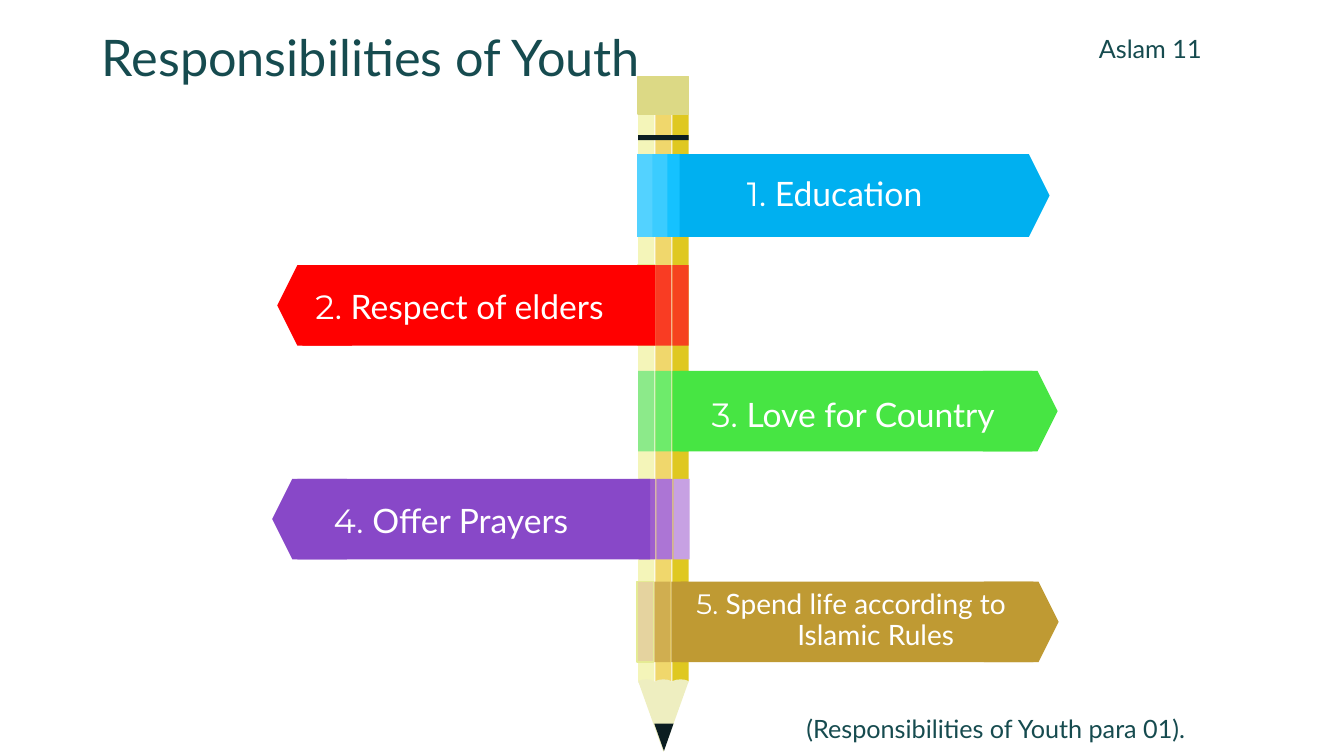
from dataclasses import dataclass

from pptx import Presentation
from pptx.dml.color import RGBColor
from pptx.enum.shapes import MSO_SHAPE
from pptx.enum.text import MSO_ANCHOR
from pptx.shapes.autoshape import Shape
from pptx.util import Inches, Pt

RECTANGLE = MSO_SHAPE.RECTANGLE
HEXAGON = MSO_SHAPE.HEXAGON
TRIANGLE = MSO_SHAPE.ISOSCELES_TRIANGLE
OVAL = MSO_SHAPE.OVAL
TOP, BOTTOM = MSO_ANCHOR.TOP, MSO_ANCHOR.BOTTOM


@dataclass(frozen=True)
class Theme:
    text_font: str = "Lato"
    number_font: str = "Montserrat"
    ink: str = "164B4F"
    white: str = "FFFFFF"
    shaft: tuple[str, ...] = ("F4F5B9", "F0D76C", "DFC821")
    wood: str = "EEEEC0"
    lead: str = "0B1D21"
    eraser: str = "DCD985"
    strip_edge: str = "E5EB94"
    title_size: int = 36
    note_size: int = 18


@dataclass(frozen=True)
class Box:
    left: float
    top: float
    width: float
    height: float


@dataclass(frozen=True)
class Span:
    text: str
    font: str
    size: float
    color: str


@dataclass(frozen=True)
class Banner:
    number: int
    lines: tuple[str, ...]
    color: str
    strips: tuple[str, ...]
    top: float
    body_left: float
    text: Box
    points_right: bool = True
    body_width: float = 3.5
    height: float = 0.8
    strip_left: float = 6.33
    strip_pitch: float = 0.17
    size: int = 24
    edged: bool = False


THEME = Theme()
PENCIL_LEFT, PENCIL_WIDTH, SHAFT_PITCH = 6.33, 0.5, 0.17
TIP_WIDTH, TIP_OVERHANG = 0.94, 0.25
LINE_SPACING, SECOND_LINE_INDENT = 0.9, 1

BANNERS = (
    Banner(1, ("Education",), "00B0F0", ("53D2FF", "3BCCFF", "15C2FF"),
           1.53, 6.74, Box(7.31, 1.71, 3.2, 0.46), body_width=3.42,
           height=0.82, strip_left=6.32, strip_pitch=0.15),
    Banner(2, ("Respect of elders",), "FF0000", ("FFC5AB", "F93C23", "F6421E"),
           2.63, 3, Box(3.03, 2.83, 3.27, 0.46), points_right=False, edged=True),
    Banner(3, ("Love for Country",), "47E543", ("8CEA8A", "6EEB6B", "47E543"),
           3.68, 6.74, Box(6.96, 3.9, 3.14, 0.46)),
    Banner(4, ("Offer Prayers",), "8848C8", ("9E5ECE", "AC75D5", "C7A1E3"),
           4.75, 2.95, Box(3.21, 4.96, 2.64, 0.46), points_right=False,
           strip_left=6.34),
    Banner(5, ("Spend life according to", "Islamic Rules"), "BF9A33",
           ("E5D39F", "D0AE50", "BF9A33"), 5.77, 6.75,
           Box(6.81, 5.81, 3.5, 0.71), strip_left=6.32, size=20, edged=True),
)


def lengths(box: Box) -> tuple[int, ...]:
    return tuple(map(Inches, (box.left, box.top, box.width, box.height)))


def add_solid(shapes, kind: MSO_SHAPE, box: Box, color: str,
              edge: str | None = None) -> Shape:
    """Add a flat filled shape, outlined at 1 pt when an edge colour is given."""
    solid = shapes.add_shape(kind, *lengths(box))
    solid.shadow.inherit = False
    solid.fill.solid()
    solid.fill.fore_color.rgb = RGBColor.from_string(color)
    if edge:
        solid.line.color.rgb = RGBColor.from_string(edge)
        solid.line.width = Pt(1)
    else:
        solid.line.fill.background()
    return solid


def add_text(shapes, box: Box, lines: list[list[Span]],
             anchor: MSO_ANCHOR = TOP, spacing: float = LINE_SPACING) -> None:
    """Add one paragraph per line; lines after the first are indented."""
    frame = shapes.add_textbox(*lengths(box)).text_frame
    frame.word_wrap = True
    frame.vertical_anchor = anchor
    for index, spans in enumerate(lines):
        para = frame.add_paragraph() if index else frame.paragraphs[0]
        para.line_spacing = spacing
        if index:
            para._p.get_or_add_pPr().set("marL", str(Inches(SECOND_LINE_INDENT)))
        for span in spans:
            run = para.add_run()
            run.text = span.text
            run.font.color.rgb = RGBColor.from_string(span.color)
            for name, value in {"name": span.font, "size": Pt(span.size)}.items():
                setattr(run.font, name, value)


def add_pencil(shapes) -> None:
    columns = [PENCIL_LEFT + SHAFT_PITCH * i for i in range(len(THEME.shaft))]
    for left, color in zip(columns, THEME.shaft):
        add_solid(shapes, RECTANGLE, Box(left, 1.01, 0.16, 5.75), color)
    for left in columns:
        add_solid(shapes, OVAL, Box(left, 6.74, 0.16, 0.05), THEME.wood)
    for box, color in ((Box(PENCIL_LEFT, 6.76, PENCIL_WIDTH, 0.7), THEME.wood),
                       (Box(6.49, 7.18, 0.19, 0.27), THEME.lead)):
        add_solid(shapes, TRIANGLE, box, color).rotation = 180
    add_solid(shapes, RECTANGLE, Box(PENCIL_LEFT, 0.76, PENCIL_WIDTH, 0.37),
              THEME.eraser, THEME.eraser)
    add_solid(shapes, RECTANGLE, Box(PENCIL_LEFT, 1.34, PENCIL_WIDTH, 0.05),
              THEME.lead)


def add_banner(shapes, banner: Banner) -> None:
    """Wrap three strips round the pencil and group the arrow with its label."""
    for index, color in enumerate(banner.strips):
        left = banner.strip_left + banner.strip_pitch * index
        edge = THEME.strip_edge if banner.edged and index == 0 else None
        add_solid(shapes, RECTANGLE, Box(left, banner.top, 0.16, banner.height),
                  color, edge)
    arrow = shapes.add_group_shape().shapes
    tip_left = banner.body_left - TIP_OVERHANG
    if banner.points_right:
        body_right = banner.body_left + banner.body_width
        tip_left = body_right + TIP_OVERHANG - TIP_WIDTH
    body = Box(banner.body_left, banner.top, banner.body_width, banner.height)
    tip = Box(tip_left, banner.top, TIP_WIDTH, banner.height)
    add_solid(arrow, RECTANGLE, body, banner.color)
    add_solid(arrow, HEXAGON, tip, banner.color)
    lines = [[Span(line, THEME.text_font, banner.size, THEME.white)]
             for line in banner.lines]
    lines[0].insert(0, Span(f"{banner.number}. ", THEME.number_font,
                            banner.size, THEME.white))
    add_text(arrow, banner.text, lines)


def main() -> None:
    deck = Presentation()
    deck.slide_width, deck.slide_height = Inches(13.33), Inches(7.5)
    shapes = deck.slides.add_slide(deck.slide_layouts[6]).shapes
    title = Span("Responsibilities of Youth", THEME.text_font,
                 THEME.title_size, THEME.ink)
    add_text(shapes, Box(0.91, 0.09, 10.5, 0.83), [[title]], BOTTOM)
    add_pencil(shapes)
    for banner in BANNERS:
        add_banner(shapes, banner)
    for text, box, spacing in (
        ("(Responsibilities of Youth para 01).", Box(7.9, 7.03, 4.1, 0.4), 1.0),
        ("Aslam 11", Box(10.8, 0.32, 1.3, 0.37), LINE_SPACING),
    ):
        note = Span(text, THEME.text_font, THEME.note_size, THEME.ink)
        add_text(shapes, box, [[note]], spacing=spacing)
    deck.save("out.pptx")


if __name__ == "__main__":
    main()
